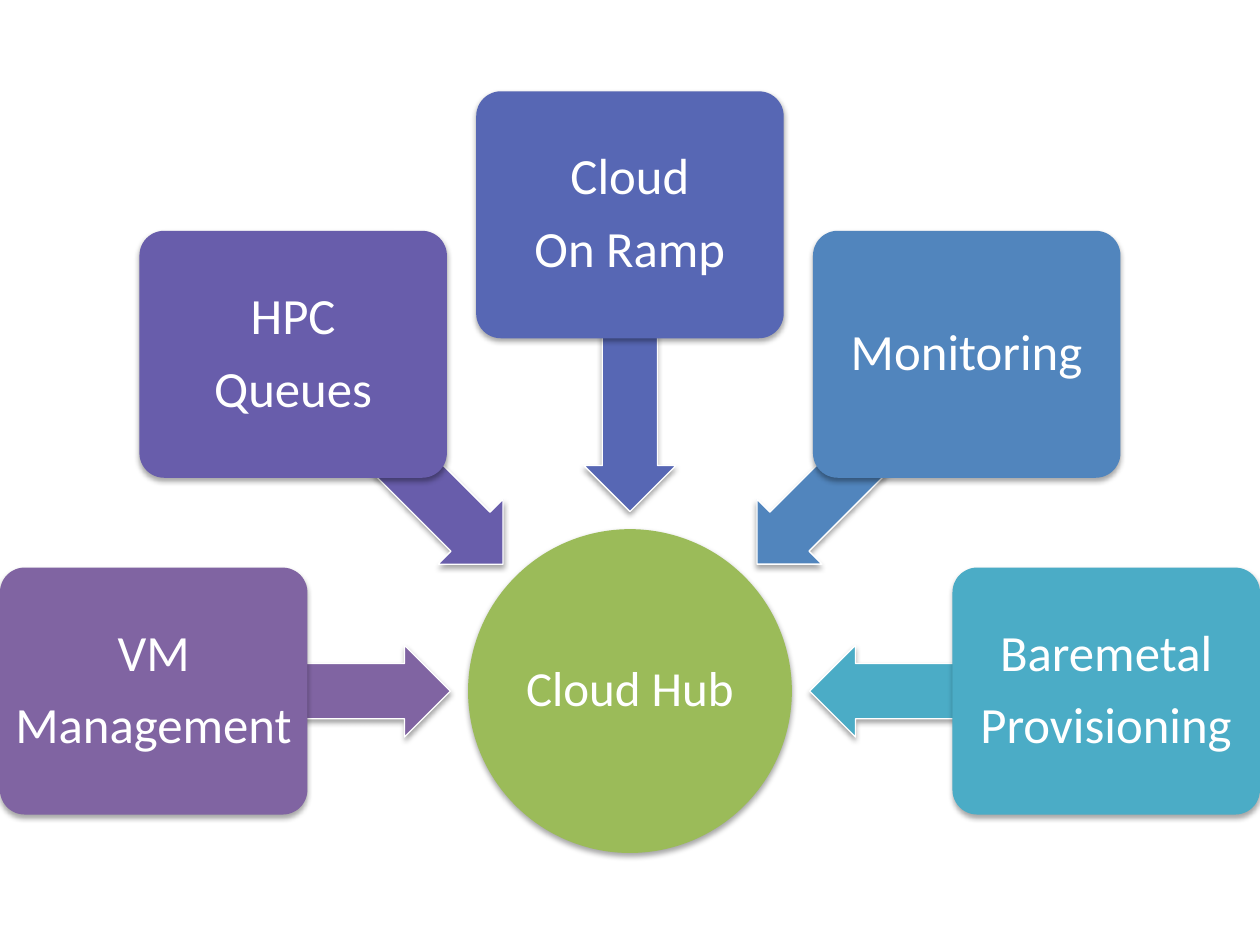
from dataclasses import dataclass
from math import cos, radians, sin

from lxml.etree import SubElement
from pptx import Presentation
from pptx.dml.color import RGBColor
from pptx.enum.shapes import MSO_SHAPE as Preset
from pptx.enum.text import MSO_ANCHOR as Anchor, PP_ALIGN as Align
from pptx.oxml.ns import qn
from pptx.shapes.autoshape import Shape
from pptx.util import Inches, Pt

COLORS = {
    "white": "FFFFFF",
    "black": "000000",
    "green": "9BBB59",
    "purple": "8064A2",
    "violet": "685DAB",
    "indigo": "5767B4",
    "blue": "5185BD",
    "teal": "4BACC6",
}
CENTER_X, CENTER_Y = 5, 5.485
HUB_SIZE = 2.57
BOX_WIDTH, BOX_HEIGHT, BOX_RADIUS = 2.44, 1.96, 3.78
ARROW_WIDTH, ARROW_HEIGHT, ARROW_RADIUS = 2.35, 0.73, 2.6
ANGLE_STEP = 45


@dataclass
class Service:
    lines: list[str]
    color: str


SERVICES = [
    Service(["VM", "Management"], "purple"),
    Service(["HPC", "Queues"], "violet"),
    Service(["Cloud", "On Ramp"], "indigo"),
    Service(["Monitoring"], "blue"),
    Service(["Baremetal", "Provisioning"], "teal"),
]

presentation = Presentation()
presentation.slide_width = Inches(10)
presentation.slide_height = Inches(7.5)
slide = presentation.slides.add_slide(presentation.slide_layouts[6])


def rgb(name: str) -> RGBColor:
    return RGBColor.from_string(COLORS[name])


def add_shadow(shape: Shape) -> None:
    shape.shadow.inherit = False
    effects = shape._element.spPr.find(qn("a:effectLst"))
    shadow = SubElement(effects, qn("a:outerShdw"), blurRad=str(Pt(3.1)),
                        dist=str(Pt(1.8)), dir=str(90 * 60000), rotWithShape="0")
    color = SubElement(shadow, qn("a:srgbClr"), val=COLORS["black"])
    SubElement(color, qn("a:alpha"), val="35000")


def add_centered(preset: Preset, angle: float, radius: float, width: float,
                 height: float, color: str, outlined: bool = False) -> Shape:
    x = CENTER_X + radius * cos(radians(angle))
    y = CENTER_Y + radius * sin(radians(angle))
    shape = slide.shapes.add_shape(preset, Inches(x - width / 2), Inches(y - height / 2),
                                   Inches(width), Inches(height))
    shape.fill.solid()
    shape.fill.fore_color.rgb = rgb(color)
    if outlined:
        shape.line.color.rgb = rgb("white")
        shape.line.width = Pt(0.75)
    else:
        shape.line.fill.background()
    add_shadow(shape)
    return shape


def write_text(shape: Shape, lines: list[str], *, size: float, inset: float,
               color: str = "white", font: str = "Calibri") -> None:
    frame = shape.text_frame
    frame.word_wrap = True
    frame.vertical_anchor = Anchor.MIDDLE
    frame.margin_left = frame.margin_right = Inches(inset)
    frame.margin_top = frame.margin_bottom = Inches(inset)
    frame.text = "\n".join(lines)
    for paragraph in frame.paragraphs:
        paragraph.alignment = Align.CENTER
        paragraph.line_spacing = 0.9
        paragraph.space_after = Pt(0.35 * size)
        paragraph.font.size = Pt(size)
        paragraph.font.name = font
        paragraph.font.color.rgb = rgb(color)


hub = add_centered(Preset.OVAL, 0, 0, HUB_SIZE, HUB_SIZE, "green")
write_text(hub, ["Cloud Hub"], size=28, inset=0.02)

for index, service in enumerate(SERVICES):
    angle = 180 + index * ANGLE_STEP
    arrow = add_centered(Preset.LEFT_ARROW, angle, ARROW_RADIUS, ARROW_WIDTH,
                         ARROW_HEIGHT, service.color, outlined=True)
    arrow.adjustments[0] = 0.6
    arrow.adjustments[1] = 0.5
    arrow.rotation = angle % 360
    box = add_centered(Preset.ROUNDED_RECTANGLE, angle, BOX_RADIUS, BOX_WIDTH,
                       BOX_HEIGHT, service.color)
    box.adjustments[0] = 0.1
    write_text(box, service.lines, size=29, inset=0.06)

presentation.save("out.pptx")
